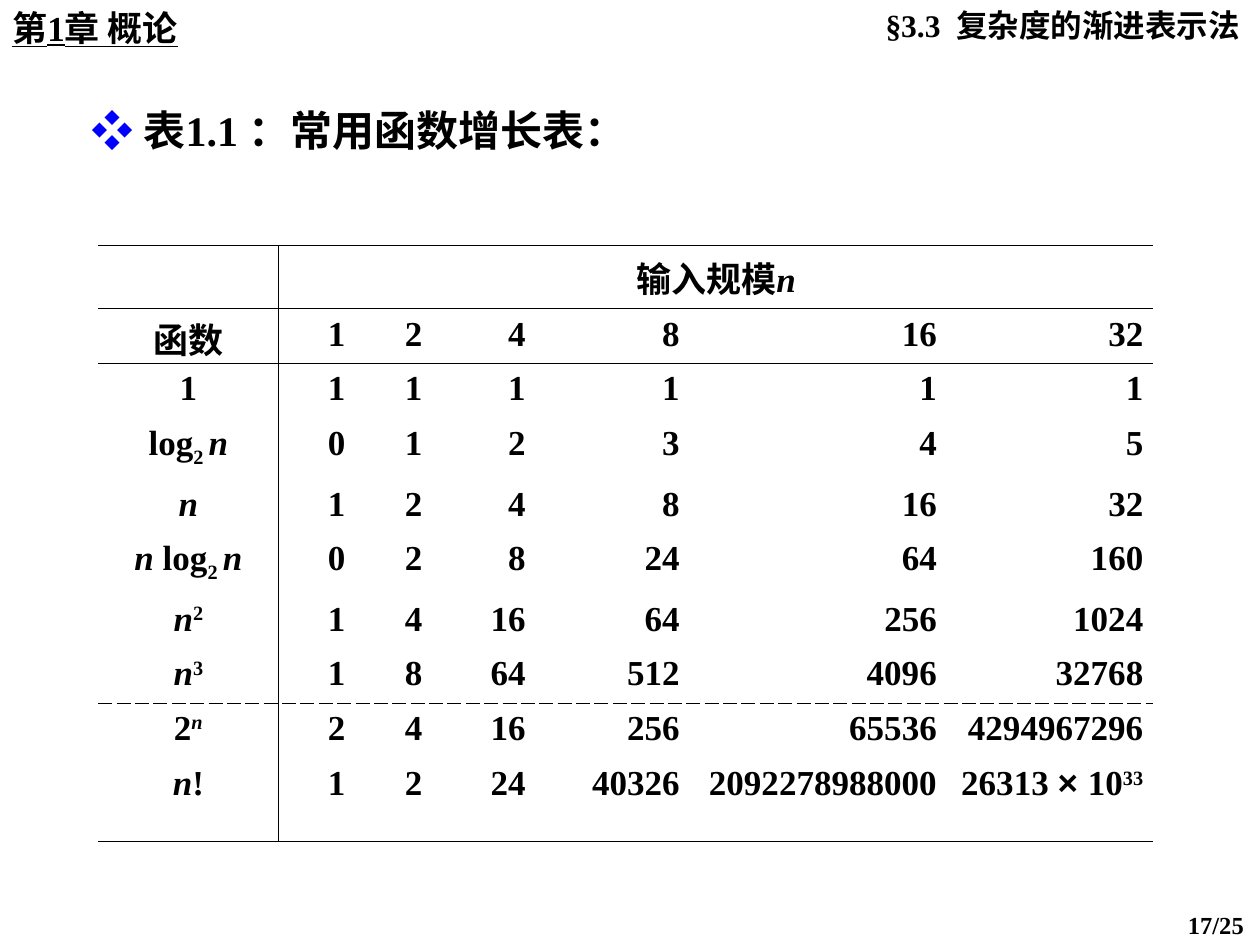
from dataclasses import dataclass

from lxml import etree
from pptx import Presentation
from pptx.dml.color import RGBColor
from pptx.enum.text import MSO_ANCHOR, MSO_AUTO_SIZE, PP_ALIGN
from pptx.oxml.ns import qn
from pptx.util import Pt

LEFT, CENTER, RIGHT = PP_ALIGN.LEFT, PP_ALIGN.CENTER, PP_ALIGN.RIGHT
TOP = MSO_ANCHOR.TOP
GROW = MSO_AUTO_SIZE.SHAPE_TO_FIT_TEXT
TITLE_ONLY = 5


@dataclass(frozen=True)
class Theme:
    ink: str = "000000"
    bullet: str = "0000FF"
    serif: str = "Times New Roman"
    sans: str = "Arial"
    heading: float = 24
    chapter: float = 20
    section: float = 18
    table: float = 20
    page: float = 14
    rule: float = 0.45


THEME = Theme()
ITALIC = {"italic": True}
SUB = {"baseline": -25}
SUPER = {"baseline": 30}
N = ("n", ITALIC)

COLUMN_WIDTHS = [103, 44, 44, 59, 88, 147, 118]
PLAIN_ROW, SUBSCRIPT_ROW = 31.2, 34.3
ROW_HEIGHTS = [36, 31, PLAIN_ROW, SUBSCRIPT_ROW, PLAIN_ROW, SUBSCRIPT_ROW,
               PLAIN_ROW, PLAIN_ROW, PLAIN_ROW, 48]
RULES = {0: "solid", 1: "solid", 2: "solid", 8: "dash", 10: "solid"}

GROWTH = [
    [["函数"], "1", "2", "4", "8", "16", "32"],
    [["1"], "1", "1", "1", "1", "1", "1"],
    [["log", ("2 ", SUB), N], "0", "1", "2", "3", "4", "5"],
    [[N], "1", "2", "4", "8", "16", "32"],
    [[N, " log", ("2 ", SUB), N], "0", "2", "8", "24", "64", "160"],
    [[N, ("2", SUPER)], "1", "4", "16", "64", "256", "1024"],
    [[N, ("3", SUPER)], "1", "8", "64", "512", "4096", "32768"],
    [["2", ("n", {**ITALIC, **SUPER})],
     "2", "4", "16", "256", "65536", "4294967296"],
    [[N, "!"], "1", "2", "24", "40326", "2092278988000",
     ["26313 ", ("× ", {"name": THEME.sans}), "10", ("33", SUPER)]],
]


class SlideBuilder:
    def __init__(self, deck, theme):
        self.theme = theme
        self.slide = deck.slides.add_slide(deck.slide_layouts[TITLE_ONLY])

    def add_spans(self, para, runs, size, align=LEFT, **extra):
        para.alignment = align
        for run in [runs] if isinstance(runs, str) else runs:
            text, changes = (run, {}) if isinstance(run, str) else run
            style = {"name": self.theme.serif, "size": Pt(size), "bold": True,
                     **extra, **changes}
            color = style.pop("color", self.theme.ink)
            baseline = style.pop("baseline", 0)
            span = para.add_run()
            span.text = text
            for name, value in style.items():
                setattr(span.font, name, value)
            span.font.color.rgb = RGBColor.from_string(color)
            if baseline:
                span.font._element.set("baseline", str(baseline * 1000))

    def fill_box(self, box, place, runs, size, align=LEFT, before=0,
                 sides=(7.2, 7.2), **extra):
        for name, value in zip(("left", "top", "width", "height"), place):
            setattr(box, name, Pt(value))
        frame = box.text_frame
        layout = {"word_wrap": True, "auto_size": GROW, "vertical_anchor": TOP,
                  "margin_left": Pt(sides[0]), "margin_right": Pt(sides[1]),
                  "margin_top": Pt(3.6), "margin_bottom": Pt(3.6)}
        for name, value in layout.items():
            setattr(frame, name, value)
        para = frame.paragraphs[0]
        para.space_before = Pt(before)
        self.add_spans(para, runs, size, align, **extra)

    def text(self, place, runs, size, **options):
        box = self.slide.shapes.add_textbox(0, 0, 0, 0)
        self.fill_box(box, place, runs, size, **options)

    def title(self, place, runs, size):
        self.fill_box(self.slide.shapes.title, place, runs, size)

    def border(self, cell, side, dash):
        line = etree.SubElement(cell._tc.get_or_add_tcPr(), qn(f"a:ln{side}"),
                                w=str(Pt(self.theme.rule)))
        if not dash:
            etree.SubElement(line, qn("a:noFill"))
            return
        fill = etree.SubElement(line, qn("a:solidFill"))
        etree.SubElement(fill, qn("a:srgbClr"), val=self.theme.ink)
        etree.SubElement(line, qn("a:prstDash"), val=dash)

    def table(self, left, top, widths, heights, rules):
        table = self.slide.shapes.add_table(
            len(heights), len(widths), Pt(left), Pt(top),
            Pt(sum(widths)), Pt(sum(heights))).table
        table.first_row = table.horz_banding = False
        for column, width in zip(table.columns, widths):
            column.width = Pt(width)
        for row, height in zip(table.rows, heights):
            row.height = Pt(height)
        margins = {"margin_left": 5.76, "margin_right": 5.76,
                   "margin_top": 3.6, "margin_bottom": 3.6}
        for r in range(len(heights)):
            for c in range(len(widths)):
                cell = table.cell(r, c)
                for name, value in margins.items():
                    setattr(cell, name, Pt(value))
                edges = {"L": "solid" if c == 1 else None,
                         "R": "solid" if c == 0 else None,
                         "T": rules.get(r), "B": rules.get(r + 1)}
                for side, dash in edges.items():
                    self.border(cell, side, dash)
                cell.fill.background()
        return table

    def cell(self, cell, runs, align):
        para = cell.text_frame.paragraphs[0]
        self.add_spans(para, runs, self.theme.table, align)


def main():
    deck = Presentation()
    deck.slide_width, deck.slide_height = Pt(720), Pt(540)
    page = SlideBuilder(deck, THEME)

    page.text((0, 0, 125.28, 55.44), "第1章 概论", THEME.chapter,
              before=12.5, underline=True)
    page.title((45.36, 56.16, 314.64, 36),
               [("❖ ", {"name": THEME.sans, "color": THEME.bullet}),
                "表1.1 ：常用函数增长表："], THEME.heading)
    page.text((461.52, 0, 258.48, 28.8), "§3.3  复杂度的渐进表示法",
              THEME.section, align=RIGHT, before=11.2, sides=(8.64, 11.52))

    table = page.table(56.16, 140.4, COLUMN_WIDTHS, ROW_HEIGHTS, RULES)
    table.cell(0, 1).merge(table.cell(0, len(COLUMN_WIDTHS) - 1))
    page.cell(table.cell(0, 1), ["输入规模", N], CENTER)
    for r, row in enumerate(GROWTH, start=1):
        for c, runs in enumerate(row):
            page.cell(table.cell(r, c), runs, RIGHT if c else CENTER)
    function_header = table.cell(1, 0)
    function_header.margin_top, function_header.margin_bottom = Pt(5), Pt(0)
    function_header.text_frame.paragraphs[0].line_spacing = 0.9

    page.text((671.76, 516.24, 48.24, 24.48), "17/25", THEME.page, before=8.8)
    deck.save("out.pptx")


if __name__ == "__main__":
    main()
